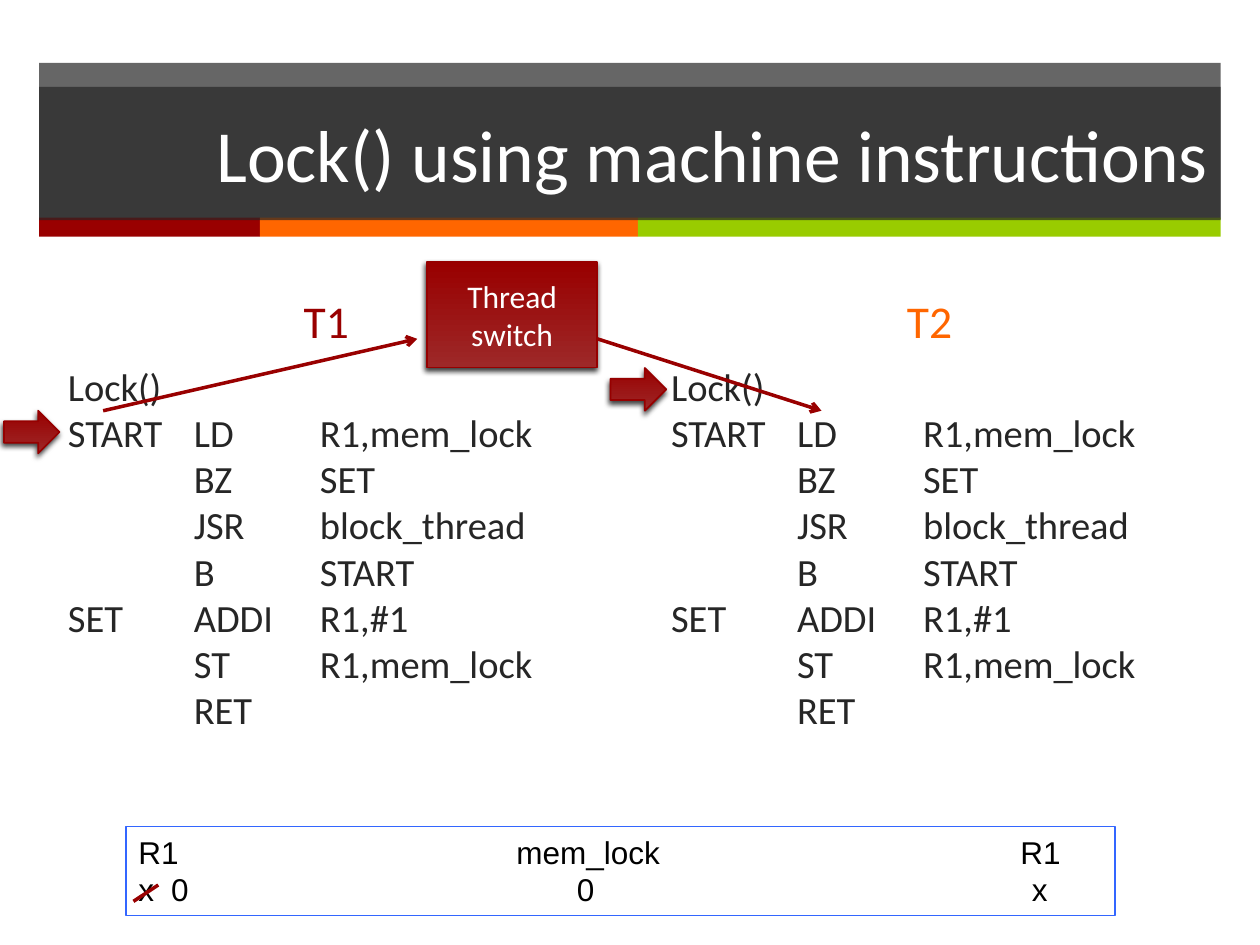
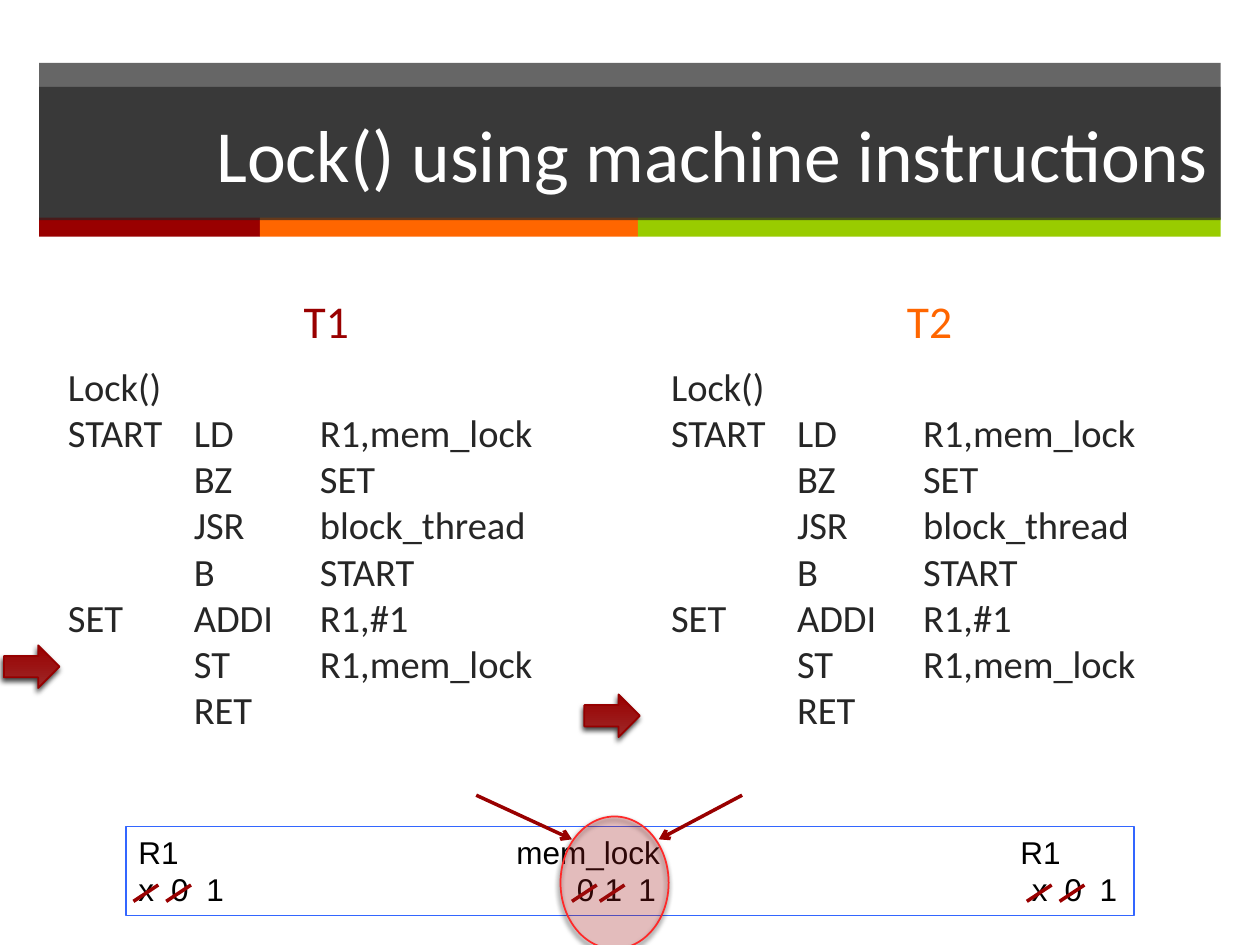
from dataclasses import dataclass

from lxml.etree import SubElement
from pptx import Presentation
from pptx.dml.color import RGBColor as Rgb
from pptx.enum.shapes import MSO_CONNECTOR as Link, MSO_SHAPE as Preset
from pptx.enum.text import MSO_ANCHOR as Anchor, PP_ALIGN as Align
from pptx.oxml.ns import qn
from pptx.util import Cm, Pt


@dataclass(frozen=True)
class Theme:
    red: str = "990000"
    red_soft: str = "9D2828"
    red_edge: str = "960000"
    orange: str = "FF6600"
    green: str = "99CC00"
    dark: str = "262626"
    white: str = "FFFFFF"
    black: str = "000000"
    blue: str = "3366FF"
    alarm: str = "FF2929"
    font: str = "Calibri"
    memory_font: str = "Arial"
    title_size: int = 42
    thread_size: int = 26
    code_size: int = 22
    label_size: int = 18


@dataclass(frozen=True)
class Box:
    """A region in centimetres."""
    x: float
    y: float
    w: float
    h: float

    def inner(self, dx, dy, w, h):
        return Box(self.x + dx, self.y + dy, w, h)

    def lengths(self):
        return [Cm(v) for v in (self.x, self.y, self.w, self.h)]


THEME = Theme()
HEADER = Box(0.79, 1.27, 23.82, 3.5)
T1_COLUMN = Box(1.12, 4.83, 10.92, 12.19)
T2_COLUMN = Box(13.28, 4.83, 10.92, 12.19)

TITLE = "Lock() using machine instructions"
LOCK_CODE = [
    "Lock()",
    "START\tLD\tR1,mem_lock",
    "\tBZ\tSET",
    "\tJSR\tblock_thread",
    "\tB\tSTART",
    "SET\tADDI\tR1,#1",
    "\tST\tR1,mem_lock",
    "\tRET",
]
CODE_TABS = [2.54, 5.08]

# Offsets of the register names and of their successive values
REGISTERS = {"R1": 0, "mem_lock": 7.62, "R1 ": 17.78}
VALUE_TABS = [(0, 0.66, 1.37), (8.84, 9.4, 10.08), (18.01, 18.67, 19.38)]


# Drawing helpers

def write(paragraph, lines, size, color, font=THEME.font, align=Align.LEFT, tabs=()):
    """Write lines into one paragraph, separated by line breaks."""
    paragraph.alignment = align
    if tabs:
        stops = SubElement(paragraph._p.get_or_add_pPr(), qn("a:tabLst"))
        for position in tabs:
            SubElement(stops, qn("a:tab"), pos=str(Cm(position)), algn="l")
    for number, line in enumerate(lines):
        if number:
            paragraph.add_line_break()
        run = paragraph.add_run()
        run.text = line
        run.font.size = Pt(size)
        run.font.name = font
        run.font.color.rgb = Rgb.from_string(color)


def add_frame(slide, box, anchor=Anchor.TOP):
    frame = slide.shapes.add_textbox(*box.lengths()).text_frame
    frame.word_wrap = True
    frame.vertical_anchor = anchor
    return frame


def add_block(slide, preset, box, fill=None, alpha=None, edge=None, edge_width=1):
    shape = slide.shapes.add_shape(preset, *box.lengths())
    shape.shadow.inherit = False
    if fill:
        shape.fill.solid()
        shape.fill.fore_color.rgb = Rgb.from_string(fill)
    else:
        shape.fill.background()
    if alpha:
        color = shape.element.spPr.find(qn("a:solidFill"))[0]
        SubElement(color, qn("a:alpha"), val=str(alpha * 1000))
    if edge:
        shape.line.color.rgb = Rgb.from_string(edge)
        shape.line.width = Pt(edge_width)
    else:
        shape.line.fill.background()
    return shape


def cast_shadow(shape):
    effects = shape.element.spPr.find(qn("a:effectLst"))
    shadow = SubElement(effects, qn("a:outerShdw"), blurRad=str(Pt(3)),
                        dist=str(Pt(2)), dir=str(110 * 60000), rotWithShape="0")
    color = SubElement(shadow, qn("a:srgbClr"), val=THEME.black)
    SubElement(color, qn("a:alpha"), val="75000")


def add_glossy(slide, preset, box):
    """A red block with a vertical gradient and a shadow."""
    shape = add_block(slide, preset, box, edge=THEME.red_edge)
    shape.fill.gradient()
    shape.fill.gradient_angle = 90
    for stop, color in zip(shape.fill.gradient_stops, (THEME.red_soft, THEME.red)):
        stop.color.rgb = Rgb.from_string(color)
    cast_shadow(shape)
    return shape


def add_line(slide, start, end, arrow=False):
    points = [Cm(v) for v in (*start, *end)]
    line = slide.shapes.add_connector(Link.STRAIGHT, *points)
    line.line.color.rgb = Rgb.from_string(THEME.red)
    line.line.width = Pt(2)
    if arrow:
        SubElement(line.line._get_or_add_ln(), qn("a:tailEnd"), type="arrow")
    SubElement(line._element.spPr, qn("a:effectLst"))


# Regions

def draw_header(slide, box):
    add_block(slide, Preset.RECTANGLE, box.inner(0, 0, box.w, 3.15), THEME.dark, 70)
    # Colour stripes
    offset = 0
    for color, width in ((THEME.red, 4.45), (THEME.orange, 7.62), (THEME.green, 11.75)):
        add_block(slide, Preset.RECTANGLE, box.inner(offset, 3.12, width, 0.38), color)
        offset += width
    # Title band
    band = add_block(slide, Preset.RECTANGLE, box.inner(0, 0.48, box.w, 2.69),
                     THEME.dark, 70)
    band.text_frame.word_wrap = True
    band.text_frame.vertical_anchor = Anchor.MIDDLE
    write(band.text_frame.paragraphs[0], [TITLE], THEME.title_size, THEME.white,
          align=Align.RIGHT)


def draw_thread(slide, box, name, color, pointer):
    """A thread heading, its code and the arrow at its current instruction."""
    heading = add_frame(slide, box.inner(0, 0, box.w, 2.31), Anchor.BOTTOM)
    write(heading.paragraphs[0], [name], THEME.thread_size, color, align=Align.CENTER)
    code = add_frame(slide, box.inner(0, 2.36, box.w, 9.83))
    write(code.paragraphs[0], LOCK_CODE, THEME.code_size, THEME.dark, tabs=CODE_TABS)
    add_glossy(slide, Preset.RIGHT_ARROW, box.inner(*pointer, 1.12, 0.86))


def draw_memory(slide, box, histories):
    """Register names above their values; every value but the last is struck out."""
    frame = add_block(slide, Preset.RECTANGLE, box, edge=THEME.blue,
                      edge_width=0.75).text_frame
    frame.word_wrap = True
    frame.vertical_anchor = Anchor.TOP
    values, stops, struck = [], [], []
    for history, tabs in zip(histories, VALUE_TABS):
        values += history
        stops += tabs[:len(history)]
        struck += tabs[:len(history) - 1]
    names = [name.strip() for name in REGISTERS]
    rows = ((names, list(REGISTERS.values())), (values, stops))
    for number, (cells, tabs) in enumerate(rows):
        paragraph = frame.add_paragraph() if number else frame.paragraphs[0]
        write(paragraph, ["\t".join(cells)], THEME.label_size, THEME.black,
              THEME.memory_font, tabs=tabs[1:])
    # Strokes through the overwritten values
    for tab in struck:
        left = box.x + 0.15 + tab
        add_line(slide, (left + 0.5, box.y + 1.18), (left, box.y + 1.51))


def draw_thread_switch(slide, box):
    switch = add_glossy(slide, Preset.RECTANGLE, box)
    switch.text_frame.word_wrap = True
    switch.text_frame.vertical_anchor = Anchor.MIDDLE
    write(switch.text_frame.paragraphs[0], ["Thread switch"], THEME.label_size,
          THEME.white, align=Align.CENTER)
    # Control leaves T1 and reaches T2
    level, low = box.y + 1.55, box.y + 3
    right = box.x + box.w
    add_line(slide, (box.x - 6.53, low), (box.x - 0.2, level), arrow=True)
    add_line(slide, (right, level), (right + 4.52, low), arrow=True)


def draw_race(slide, box):
    """Ring around the contested value, with an arrow from each thread."""
    ring = add_block(slide, Preset.OVAL, box, THEME.alarm, 18, THEME.alarm)
    cast_shadow(ring)
    top, tip = box.y - 0.43, box.y + 0.46
    add_line(slide, (box.x + 3.66, top), (box.x + 1.98, tip), arrow=True)
    add_line(slide, (box.x - 1.7, top), (box.x + 0.23, tip), arrow=True)


def draw_lock_slide(deck, t1_pointer, t2_pointer, memory_width, histories):
    slide = deck.slides.add_slide(deck.slide_layouts[6])
    draw_header(slide, HEADER)
    draw_thread(slide, T1_COLUMN, "T1", THEME.red, t1_pointer)
    draw_thread(slide, T2_COLUMN, "T2", THEME.orange, t2_pointer)
    draw_memory(slide, Box(2.54, 16.66, memory_width, 1.8), histories)
    return slide


def main():
    deck = Presentation()
    deck.slide_width, deck.slide_height = Cm(25.4), Cm(19.05)

    # T1 is interrupted after its load
    switching = draw_lock_slide(deck, (-1.04, 3.45), (-0.97, 2.59), 19.94,
                                (["x", "0"], ["0"], ["x"]))
    draw_thread_switch(switching, Box(8.61, 5.28, 3.43, 2.13))

    # Both threads have stored 1
    racing = draw_lock_slide(deck, (-1.04, 8.18), (-1.5, 9.17), 20.32,
                             (["x", "0", "1"], ["0", "1", "1"], ["x", "0", "1"]))
    draw_race(racing, Box(11.3, 16.46, 2.18, 2.67))

    deck.save("out.pptx")


if __name__ == "__main__":
    main()
